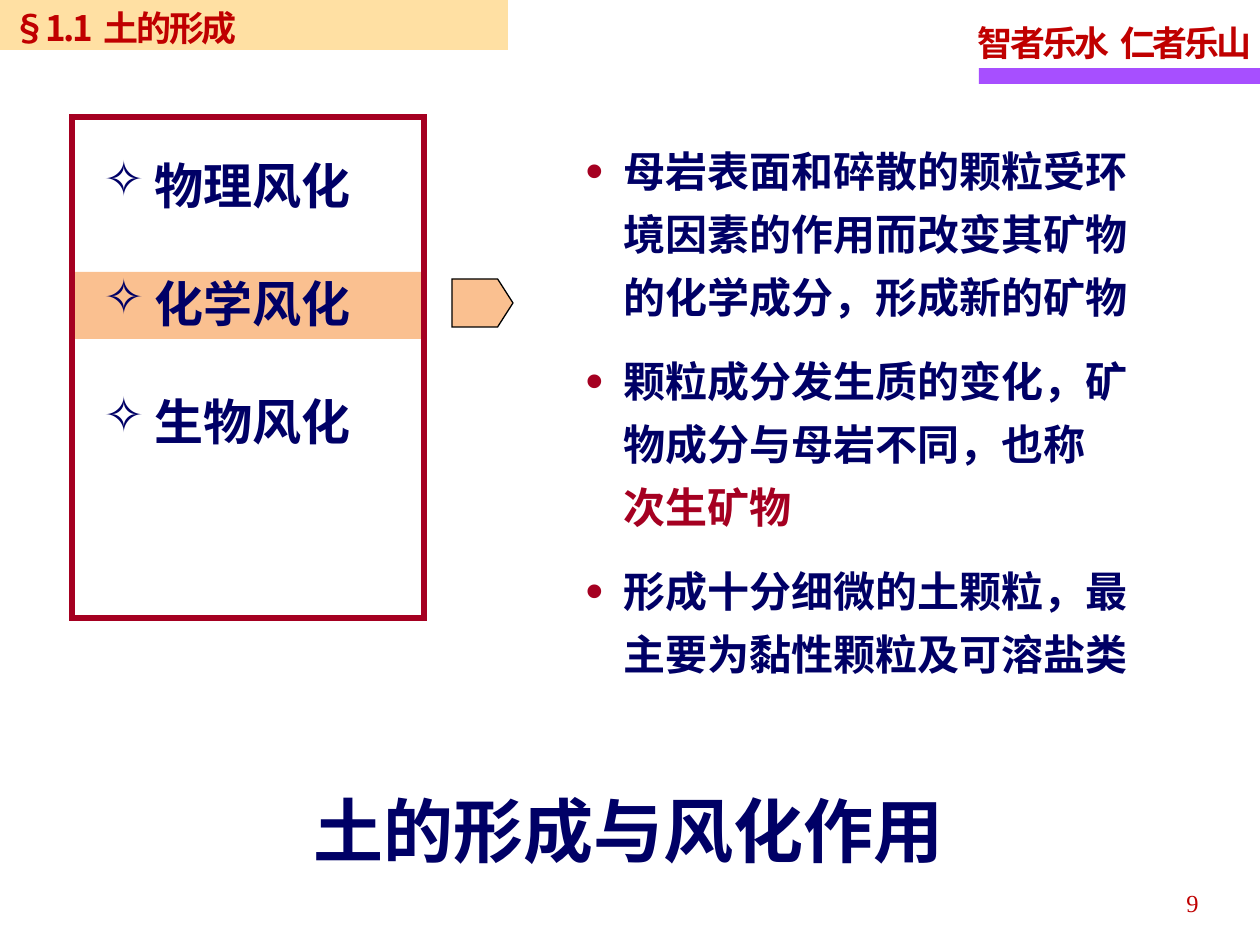
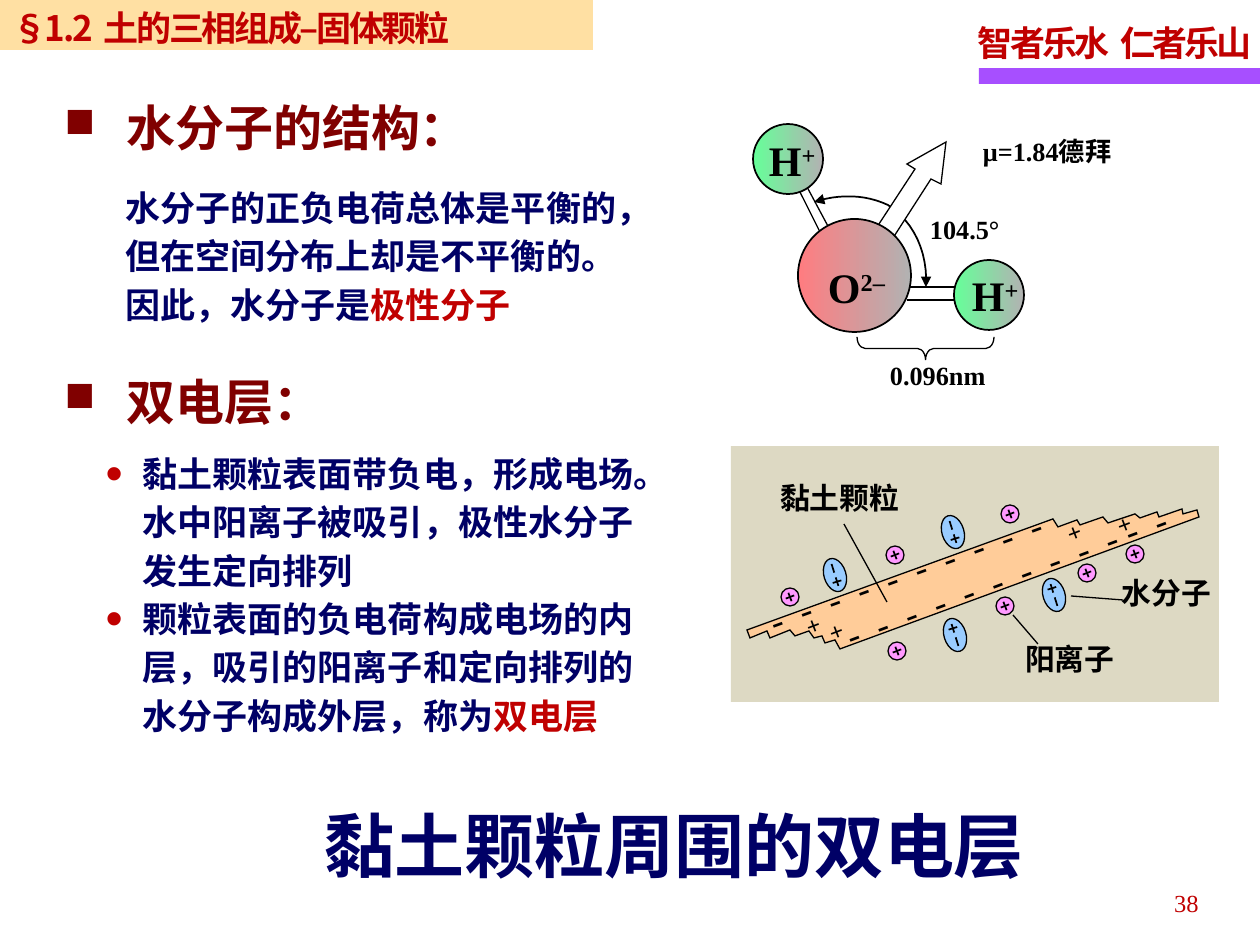
from dataclasses import dataclass
from math import cos, radians, sin

from lxml.etree import SubElement
from pptx import Presentation
from pptx.dml.color import RGBColor
from pptx.enum.shapes import MSO_CONNECTOR as Connector, MSO_SHAPE as Shape
from pptx.enum.text import MSO_ANCHOR as Anchor, MSO_AUTO_SIZE as AutoSize, PP_ALIGN as Align
from pptx.oxml.ns import qn
from pptx.util import Emu, Pt

SCALE = 914400 / 126


class Theme:
    latin, chinese = "Times New Roman", "Noto Sans CJK SC"
    navy, red, crimson, maroon = "000066", "C00000", "A50021", "800000"
    black, white, purple, cream = "000000", "FFFFFF", "A74FFF", "FFCC66"
    orange, clay, panel = "FAC090", "FFCC99", "DDD9C3"
    water, cation = "99CCFF", "FF99FF"
    hydrogen, oxygen, shade = "66FF99", "FF7C80", "B2B2B2"
    thin, medium, thick = 0.75, 1, 3
    title, heading, atom, text, label, small, number = 40, 28, 24, 20, 17, 15, 14
    dash = 21


@dataclass(frozen=True)
class Style:
    size: float
    color: str = Theme.navy
    font: str = Theme.latin
    bold: bool = True
    emphasis: str = Theme.red
    line: float = 1.0
    before: int = 0
    after: int = 0
    tracking: float = 0
    space_tracking: float = 0
    bullet: str = ""
    bullet_color: str = ""
    bullet_percent: int = 100
    indent: int = 0
    align: int = Align.LEFT


TITLE = Style(Theme.title, font=Theme.chinese)
BAND = Style(Theme.text, Theme.red, Theme.chinese, tracking=-1.4, space_tracking=1.7)
MOTTO = Style(Theme.text, Theme.red, line=1.15, tracking=-1.7, space_tracking=1.6)
NUMBER = Style(Theme.number, Theme.red, bold=False, line=1.15, align=Align.RIGHT)
KINDS = Style(Theme.heading, bullet="✧", indent=51, before=34)
FACTS = Style(Theme.atom, font=Theme.chinese, emphasis=Theme.crimson, line=1.25, before=6,
              after=6, bullet="•", bullet_color=Theme.crimson, bullet_percent=120, indent=38)
HEADING = Style(Theme.heading, Theme.maroon, line=1.15, bullet="■", bullet_percent=85, indent=62)
PROSE = Style(Theme.text, line=1.15)
POINTS = Style(Theme.text, line=1.15, bullet="•", bullet_color=Theme.red,
               bullet_percent=140, indent=37)
ATOM = Style(Theme.atom, Theme.black, emphasis="superscript")
MEASURE = Style(Theme.small, Theme.black)
LABEL = Style(Theme.label, Theme.black)
CHARGE = Style(Theme.number, Theme.black)
DASHES = Style(Theme.dash, Theme.black, bold=False, emphasis=Theme.black, space_tracking=5.25)

MOTTO_TEXT = "智者乐水 仁者乐山"

WEATHERING = {
    "band": ("§1.1 土的形成", 508), "number": "9",
    "title": ("土的形成与风化作用", (301, 781, 667, 97)),
    "body": ([
        "母岩表面和碎散的颗粒受环境因素的作用而改变其矿物的化学成分，形成新的矿物",
        "颗粒成分发生质的变化，矿物成分与母岩不同，也称\n|次生矿物|",
        "形成十分细微的土颗粒，最主要为黏性颗粒及可溶盐类",
    ], (573, 127, 571, 592), FACTS),
}
KIND_NAMES = ["物理风化", "化学风化", "生物风化"]

DOUBLE_LAYER = {
    "band": ("§1.2 土的三相组成–固体颗粒", 593), "number": "38",
    "title": ("黏土颗粒周围的双电层", (312, 796, 755, 97)),
    "body": ([
        "黏土颗粒表面带负电，形成电场。水中阳离子被吸引，极性水分子发生定向排列",
        "颗粒表面的负电荷构成电场的内层，吸引的阳离子和定向排列的水分子构成外层，称为|双电层|",
    ], (93, 440, 564, 305), POINTS),
}
EXPLANATIONS = [
    ("水分子的结构：", (52, 83, 408, 81), HEADING),
    ("水分子的正负电荷总体是平衡的，但在空间分布上却是不平衡的。因此，水分子是|极性分子|",
     (113, 174, 527, 159), PROSE),
    ("双电层：", (52, 357, 408, 74), HEADING),
]

BONDS = [(907, 287, 954, 287), (907, 300, 954, 300), (806, 185, 829, 228), (799, 190, 820, 232)]
ANGLE_CURVES = [
    ((814, 202), (838, 194), (865, 194), (888, 205)),
    ((888, 205), (914, 222), (928, 252), (926, 287)),
]
DIPOLE_ARROW = [(877, 227), (915, 169), (907, 164), (946, 142), (941, 184), (931, 179), (893, 238)]
HYDROGENS = [(753, 124, 70, 70), (954, 260, 70, 70)]
OXYGEN = (798, 219, 113, 113)
MOLECULE_TEXTS = [
    ("O|2–|", (819, 257, 84, 60), ATOM),
    ("H|+|", (963, 265, 72, 60), ATOM),
    ("H|+|", (760, 130, 72, 60), ATOM),
    ("0.096nm", (881, 354, 120, 42), MEASURE),
    ("104.5°", (921, 208, 94, 42), MEASURE),
    ("μ=1.84德拜", (974, 130, 160, 42), MEASURE),
]

WATERS = [(835, 575, 252.7), (953, 532, 252.7), (955, 635, 72.7), (1054, 595, 72.7)]
CATIONS = [(790, 597), (895, 555), (1010, 514), (897, 651), (1005, 606), (1087, 573), (1135, 554)]
CLAY_OUTLINE = [
    (747, 630), (1053, 519), (1058, 527), (1077, 520), (1080, 525), (1103, 517), (1108, 523),
    (1135, 514), (1140, 518), (1157, 512), (1159, 517), (1182, 509), (1183, 514), (1197, 510),
    (1199, 517), (840, 649), (835, 640), (825, 643), (822, 636), (814, 638), (809, 631),
    (795, 636), (790, 630), (770, 638), (767, 631), (750, 638),
]
DASH_ROWS = [
    ("- - - - - - - - - -", (752, 542, 323, 55), 340),
    ("- - - - - - - - - -| |- -", (827, 548, 366, 55), 339.5),
]
EDGE_CHARGES = [(795, 605), (818, 611), (1056, 512), (1106, 504)]
CLAY_LABELS = [
    ("黏土颗粒", (769, 475, 155, 48)),
    ("水分子", (1111, 570, 117, 48)),
    ("阳离子", (1014, 636, 118, 48)),
]
LEADERS = [(1013, 615, 1038, 644), (1071, 596, 1123, 600), (844, 524, 887, 602)]


def px(value):
    return Emu(round(value * SCALE))


def rgb(color):
    return RGBColor.from_string(color)


def add_marks(paragraph, style):
    properties = paragraph._p.get_or_add_pPr()
    properties.set("marL", str(px(style.indent)))
    properties.set("indent", str(-px(style.indent)))
    if style.bullet:
        if style.bullet_color:
            color = SubElement(properties, qn("a:buClr"))
            SubElement(color, qn("a:srgbClr"), val=style.bullet_color)
        SubElement(properties, qn("a:buSzPct"), val=str(style.bullet_percent * 1000))
        SubElement(properties, qn("a:buChar"), char=style.bullet)


def set_font(paragraph, style):
    font = paragraph.font
    font.size, font.bold, font.name = Pt(style.size), style.bold, style.font
    font.color.rgb = rgb(style.color)
    defaults = paragraph._p.pPr.find(qn("a:defRPr"))
    SubElement(defaults, qn("a:ea"), typeface=Theme.chinese)
    if style.tracking:
        defaults.set("spc", str(round(style.tracking * 100)))


def add_run(paragraph, text):
    run = paragraph.add_run()
    run.text = text
    return run


def add_plain(paragraph, text, style):
    words = text.split(" ") if style.space_tracking else [text]
    for index, word in enumerate(words):
        if index:
            space = add_run(paragraph, " ")
            space._r.get_or_add_rPr().set("spc", str(round(style.space_tracking * 100)))
        add_run(paragraph, word)


def add_runs(paragraph, text, style):
    for index, piece in enumerate(text.split("|")):
        if index % 2:
            run = add_run(paragraph, piece)
            if style.emphasis == "superscript":
                run._r.get_or_add_rPr().set("baseline", "30000")
            else:
                run.font.color.rgb = rgb(style.emphasis)
        elif piece:
            add_plain(paragraph, piece.rstrip("\n"), style)
            if piece.endswith("\n"):
                paragraph.add_line_break()


def write(shape, texts, style, insets=None):
    frame = shape.text_frame
    frame.word_wrap, frame.auto_size, frame.vertical_anchor = True, AutoSize.NONE, Anchor.TOP
    if insets:
        frame.margin_left = frame.margin_right = px(insets[0])
        frame.margin_top = frame.margin_bottom = px(insets[1])
    for index, text in enumerate(texts):
        paragraph = frame.paragraphs[0] if index == 0 else frame.add_paragraph()
        add_marks(paragraph, style)
        paragraph.alignment, paragraph.line_spacing = style.align, style.line
        paragraph.space_before = Pt(style.before if index else 0)
        paragraph.space_after = Pt(style.after)
        set_font(paragraph, style)
        add_runs(paragraph, text, style)


def add_text(shapes, texts, box, style, insets=None, rotation=0):
    shape = shapes.add_textbox(*map(px, box))
    shape.rotation = rotation
    write(shape, texts, style, insets)


def paint(shape, fill=None, width=None, line=Theme.black):
    shape.shadow.inherit = False
    if isinstance(fill, tuple):
        shape.fill.gradient()
        shape.fill.gradient_angle = 0
        for stop, color in zip(shape.fill.gradient_stops, fill):
            stop.color.rgb = rgb(color)
    elif fill:
        shape.fill.solid()
        shape.fill.fore_color.rgb = rgb(fill)
    else:
        shape.fill.background()
    if width:
        shape.line.color.rgb, shape.line.width = rgb(line), Pt(width)
        SubElement(shape.line._get_or_add_ln(), qn("a:miter"), lim="800000")
    else:
        shape.line.fill.background()
    return shape


def add_figure(shapes, kind, box, fill=None, width=None, line=Theme.black, rotation=0):
    shape = shapes.add_shape(kind, *map(px, box))
    shape.rotation = rotation
    return paint(shape, fill, width, line)


def add_outline(shapes, points, fill=None, width=Theme.thin, close=True):
    start, *rest = [(px(x), px(y)) for x, y in points]
    builder = shapes.build_freeform(*start, scale=1.0)
    builder.add_line_segments(rest, close=close)
    return paint(builder.convert_to_shape(), fill, width)


def add_line(shapes, ends, width=Theme.thin):
    connector = shapes.add_connector(Connector.STRAIGHT, *map(px, ends))
    connector.line.color.rgb, connector.line.width = rgb(Theme.black), Pt(width)
    SubElement(connector._element.spPr, qn("a:effectLst"))


def add_stroke(shapes, x, y, angle, half=4.5):
    dx, dy = half * cos(radians(angle)), half * sin(radians(angle))
    add_line(shapes, (x - dx, y - dy, x + dx, y + dy), Theme.medium)


def add_plus(shapes, x, y, angle):
    add_stroke(shapes, x, y, angle)
    add_stroke(shapes, x, y, angle + 90)


def bezier(points, steps=12):
    for step in range(steps + 1):
        t = step / steps
        weights = ((1 - t) ** 3, 3 * t * (1 - t) ** 2, 3 * t * t * (1 - t), t ** 3)
        yield tuple(sum(w * p[axis] for w, p in zip(weights, points)) for axis in (0, 1))


def start_slide(presentation, content):
    slide = presentation.slides.add_slide(presentation.slide_layouts[1])
    shapes = slide.shapes
    title, title_box = content["title"]
    body, body_box, body_style = content["body"]
    for shape, texts, box, style in ((shapes.title, [title], title_box, TITLE),
                                     (slide.placeholders[1], body, body_box, body_style)):
        shape.left, shape.top, shape.width, shape.height = map(px, box)
        write(shape, texts, style)
    add_figure(shapes, Shape.RECTANGLE, (979, 68, 281, 16), Theme.purple)
    add_text(shapes, [MOTTO_TEXT], (973, 9, 287, 62), MOTTO, (5, 6))
    add_text(shapes, [content["number"]], (917, 877, 294, 50), NUMBER)
    heading, width = content["band"]
    band = add_figure(shapes, Shape.RECTANGLE, (0, 0, width, 50), Theme.cream)
    color = band._element.spPr.find(qn("a:solidFill")).find(qn("a:srgbClr"))
    SubElement(color, qn("a:alpha"), val="60000")
    write(band, [heading], BAND)
    return shapes


def draw_weathering(shapes):
    add_figure(shapes, Shape.RECTANGLE, (73, 272, 349, 67), Theme.orange)
    pointer = add_figure(shapes, Shape.PENTAGON, (452, 279, 61, 48), Theme.orange, Theme.thin)
    pointer.adjustments[0] = 0.32
    add_figure(shapes, Shape.RECTANGLE, (72, 117, 352, 501), None, Theme.thick, Theme.crimson)
    add_text(shapes, KIND_NAMES, (91, 149, 286, 310), KINDS)


def draw_molecule(shapes):
    arc = add_outline(shapes, [point for curve in ANGLE_CURVES for point in bezier(curve)],
                      width=Theme.medium, close=False)
    for end in ("a:headEnd", "a:tailEnd"):
        SubElement(arc.line._get_or_add_ln(), qn(end), type="triangle")
    brace = add_figure(shapes, Shape.RIGHT_BRACE, (914, 280, 23, 137), None, Theme.thin, rotation=90)
    brace.adjustments[0] = 0.35
    for bond in BONDS:
        add_line(shapes, bond)
    for box in HYDROGENS:
        add_figure(shapes, Shape.OVAL, box, (Theme.hydrogen, Theme.shade), Theme.medium)
    add_outline(shapes, DIPOLE_ARROW, Theme.white)
    add_figure(shapes, Shape.OVAL, OXYGEN, (Theme.oxygen, Theme.shade), Theme.medium)
    for text, box, style in MOLECULE_TEXTS:
        add_text(shapes, [text], box, style, (9, 5))


def draw_clay(shapes):
    add_figure(shapes, Shape.RECTANGLE, (731, 446, 488, 256), Theme.panel)
    for x, y, angle in WATERS:
        add_figure(shapes, Shape.OVAL, (x - 17, y - 11, 34, 22), Theme.water, Theme.thin,
                   rotation=angle)
        dx, dy = 7 * cos(radians(angle)), 7 * sin(radians(angle))
        add_stroke(shapes, x + dx, y + dy, angle)
        add_plus(shapes, x - dx, y - dy, angle)
    add_outline(shapes, CLAY_OUTLINE, Theme.clay)
    for text, box, angle in DASH_ROWS:
        add_text(shapes, [text], box, DASHES, (9, 5), angle)
    for x, y in EDGE_CHARGES:
        add_text(shapes, ["+"], (x, y, 37, 40), CHARGE, (11, 5), 339.2)
    for x, y in CATIONS:
        add_figure(shapes, Shape.OVAL, (x - 9, y - 9, 18, 18), Theme.cation, Theme.thin)
        add_plus(shapes, x, y, -21)
    for text, box in CLAY_LABELS:
        add_text(shapes, [text], box, LABEL, (11, 5))
    for leader in LEADERS:
        add_line(shapes, leader)


def main():
    presentation = Presentation()
    presentation.slide_width, presentation.slide_height = px(1260), px(945)
    draw_weathering(start_slide(presentation, WEATHERING))
    shapes = start_slide(presentation, DOUBLE_LAYER)
    for text, box, style in EXPLANATIONS:
        add_text(shapes, [text], box, style)
    draw_molecule(shapes)
    draw_clay(shapes.add_group_shape().shapes)
    presentation.save("out.pptx")


if __name__ == "__main__":
    main()
